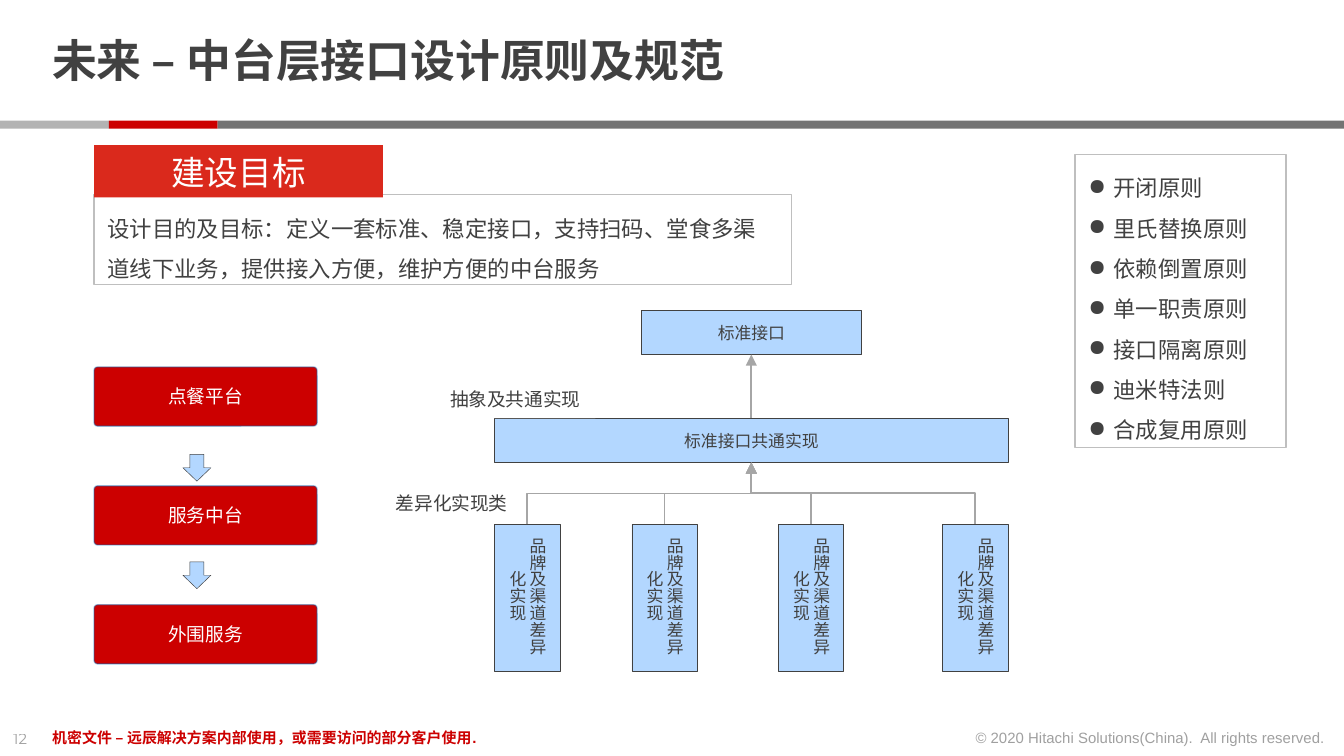
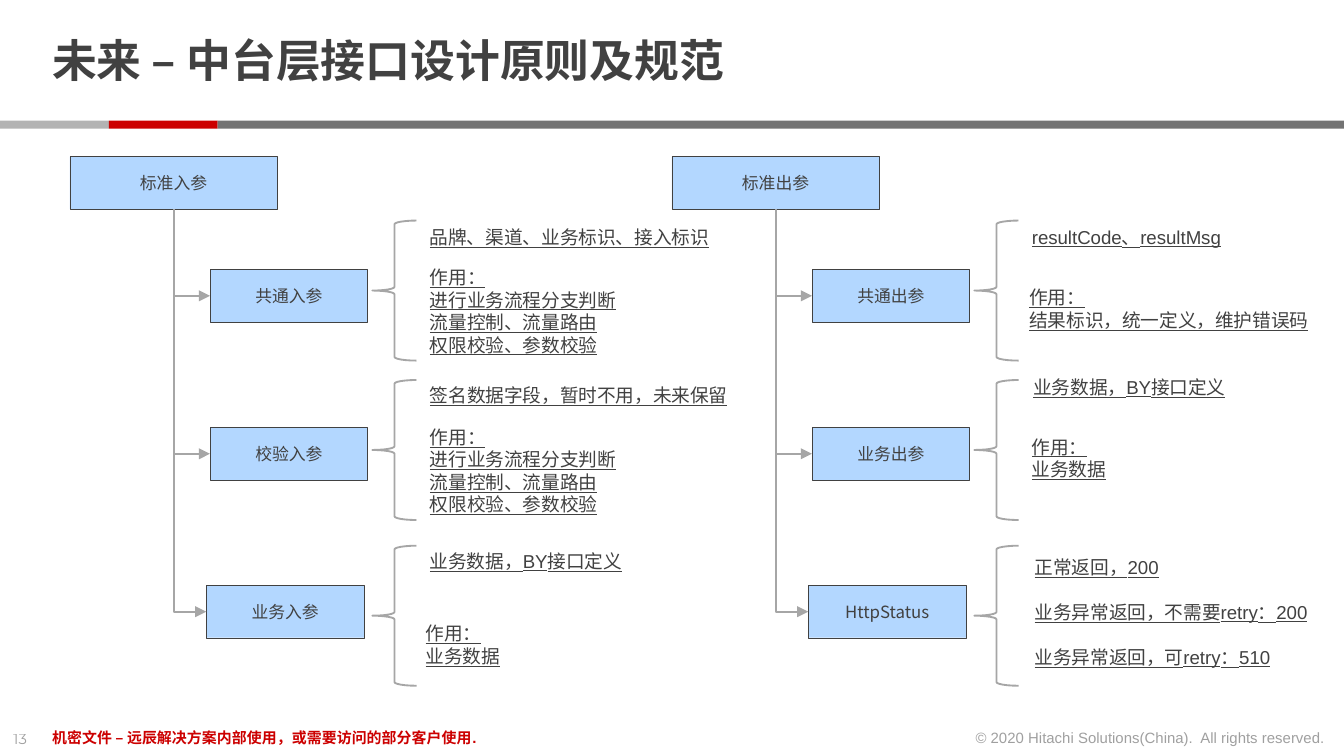
from lxml.etree import SubElement
from pptx import Presentation
from pptx.dml.color import RGBColor
from pptx.enum.shapes import MSO_CONNECTOR as Link, MSO_SHAPE as Shape
from pptx.enum.text import MSO_ANCHOR as Anchor, MSO_AUTO_SIZE as AutoSize, PP_ALIGN as Align
from pptx.oxml.ns import qn
from pptx.util import Pt

INK, WHITE, RED, TAB_RED = "414141", "FFFFFF", "CC0000", "DA291C"
BLUE, FLOW_EDGE, FRAME, GREY = "B3D7FF", "0070C0", "BFBFBF", "A6A6A6"
CJK = "Noto Sans CJK SC"
TITLE = "未来 – 中台层接口设计原则及规范"
CONFIDENTIAL = "机密文件 – 远辰解决方案内部使用，或需要访问的部分客户使用."
COPYRIGHT = "© 2020 Hitachi Solutions(China).  All rights reserved."
BANDS = [(0, 58.3, "B3B3B3"), (58.3, 58.3, RED), (116.6, 603.4, "737373")]
TOP, LEFT, BOTTOM = 0, 1, 2

EFFECTS = ["进行业务流程分支判断", "流量控制、流量路由", "权限校验、参数校验"]
INPUTS = {
    "root": "标准入参",
    "children": ["共通入参", "校验入参", "业务入参"],
    "notes": [
        (185.7, 33.4, 166.5, ["品牌、渠道、业务标识、接入标识"], 0),
        (185.7, 55, 115.5, ["作用：", *EFFECTS], 0),
        (185.7, 118.3, 176.5, ["签名数据字段，暂时不用，未来保留"], 0),
        (185.7, 140.6, 115.5, ["作用：", *EFFECTS], 0),
        (185.7, 207, 119, ["业务数据，BY接口定义"], 0),
        (183.5, 245.8, 55, ["作用：", "业务数据"], 0),
    ],
}
OUTPUTS = {
    "root": "标准出参",
    "children": ["共通出参", "业务出参", "HttpStatus"],
    "notes": [
        (185.7, 33.4, 116.5, ["resultCode、resultMsg"], 0),
        (184.3, 65.8, 166.5, ["作用：", "结果标识，统一定义，维护错误码"], 0),
        (186.5, 114, 119, ["业务数据，BY接口定义"], 0),
        (185.7, 145.7, 55, ["作用：", "业务数据"], 0),
        (187.2, 210.5, 162.5,
         ["正常返回，200", "业务异常返回，不需要retry：200", "业务异常返回，可retry：510"], 12),
    ],
}


def rgb(value):
    return RGBColor.from_string(value)


def fade(element, percent):
    for color in element.iter(qn("a:srgbClr")):
        SubElement(color, qn("a:alpha")).set("val", str(percent * 1000))


def block(slide, box, fill=None, edge=None, weight=0.25, kind=Shape.RECTANGLE):
    shape = slide.shapes.add_shape(kind, *map(Pt, box))
    shape.shadow.inherit = False
    if fill:
        shape.fill.solid()
        shape.fill.fore_color.rgb = rgb(fill)
    else:
        shape.fill.background()
    if edge:
        shape.line.color.rgb = rgb(edge)
        shape.line.width = Pt(weight)
    else:
        shape.line.fill.background()
    return shape


def write(shape, lines, size, color=INK, font="Arial", align=Align.LEFT, anchor=Anchor.TOP,
          bold=None, underline=None, spacing=None, gap=0, bullet=None, insets=None, grow=False):
    frame = shape.text_frame
    frame.word_wrap = True
    frame.auto_size = AutoSize.SHAPE_TO_FIT_TEXT if grow else AutoSize.NONE
    frame.vertical_anchor = anchor
    if insets:
        frame.margin_left = frame.margin_right = Pt(insets[0])
        frame.margin_top = frame.margin_bottom = Pt(insets[1])
    frame.text = "\n".join(lines)
    for index, paragraph in enumerate(frame.paragraphs):
        paragraph.alignment = align
        if spacing:
            paragraph.line_spacing = spacing
        if gap and index:
            paragraph.space_before = Pt(gap)
        if bullet:
            properties = paragraph._p.get_or_add_pPr()
            properties.set("marL", str(Pt(13.5)))
            properties.set("indent", str(-Pt(13.5)))
            SubElement(properties, qn("a:buChar")).set("char", bullet)
        for run in paragraph.runs:
            run.font.size = Pt(size)
            run.font.name = font
            run.font.bold = bold
            run.font.underline = underline
            run.font.color.rgb = rgb(color)
            SubElement(run._r.get_or_add_rPr(), qn("a:ea")).set("typeface", CJK)
    return shape


def text(slide, box, lines, size, **style):
    return write(slide.shapes.add_textbox(*map(Pt, box)), lines, size, **style)


def node(slide, box, label):
    return write(block(slide, box, BLUE, INK), [label], 9, font=CJK,
                 align=Align.CENTER, anchor=Anchor.MIDDLE)


def arrow(slide, source, source_site, target, target_site, preset):
    connector = slide.shapes.add_connector(Link.STRAIGHT, 0, 0, 0, 0)
    connector.begin_connect(source, source_site)
    connector.end_connect(target, target_site)
    properties = connector._element.spPr
    if preset != "line":
        x1, y1, x2, y2 = connector.begin_x, connector.begin_y, connector.end_x, connector.end_y
        middle_x, middle_y = (x1 + x2) // 2, (y1 + y2) // 2
        half_x, half_y = (x2 - x1) // 2, (y2 - y1) // 2
        connector.begin_x, connector.begin_y = middle_x + half_y, middle_y - half_x
        connector.end_x, connector.end_y = middle_x - half_y, middle_y + half_x
        properties.find(qn("a:xfrm")).set("rot", "16200000")
        properties.find(qn("a:prstGeom")).set("prst", preset)
    connector.line.color.rgb = rgb(GREY)
    connector.line.width = Pt(1)
    SubElement(properties.find(qn("a:ln")), qn("a:tailEnd")).set("type", "triangle")
    SubElement(properties, qn("a:effectLst"))


def base_slide(deck, page):
    slide = deck.slides.add_slide(deck.slide_layouts[6])
    for x, width, color in BANDS:
        block(slide, (x, 64.6, width, 4.3), color)
    number = text(slide, (0, 387.4, 24.5, 17), [str(page)], 8, font="Montserrat")
    rights = text(slide, (512.6, 386.6, 204.5, 17), [COPYRIGHT], 8, align=Align.RIGHT)
    for faint in (number, rights):
        fade(faint._element, 50)
    text(slide, (20.9, 386.6, 485, 17), [CONFIDENTIAL], 8, color=RED, bold=True)
    text(slide, (20.9, 7.9, 555, 52.6), [TITLE], 24, font=CJK, bold=True,
         anchor=Anchor.MIDDLE, spacing=0.85, insets=(7.2, 0))
    return slide


def principles(slide, box):
    names = ["开闭原则", "里氏替换原则", "依赖倒置原则", "单一职责原则",
             "接口隔离原则", "迪米特法则", "合成复用原则"]
    write(block(slide, box, WHITE, FRAME, 0.75), names, 12, spacing=1.5, bullet="●", grow=True)


def goal(slide, x, y):
    purpose = "设计目的及目标：定义一套标准、稳定接口，支持扫码、堂食多渠道线下业务，提供接入方便，维护方便的中台服务"
    write(block(slide, (x, y + 26.5, 373.7, 48.2), WHITE, FRAME, 0.75), [purpose], 12,
          spacing=1.5, grow=True)
    write(block(slide, (x, y, 154.8, 28), TAB_RED), ["建设目标"], 18, color=WHITE,
          align=Align.CENTER, anchor=Anchor.MIDDLE, spacing=1.06, insets=(0, 0))


def platform_flow(slide, x, y):
    for index, label in enumerate(["点餐平台", "服务中台", "外围服务"]):
        stage = block(slide, (x, y + 63.7 * index, 119.5, 31.7), RED, FLOW_EDGE, 0.75,
                      Shape.ROUNDED_RECTANGLE)
        stage.adjustments[0] = 0.06
        fade(stage._element.spPr.find(qn("a:ln")), 40)
        write(stage, [label], 10, color=WHITE, font=CJK, align=Align.CENTER, anchor=Anchor.MIDDLE)
    for drop in (46.8, 104.4):
        block(slide, (x + 47.6, y + drop, 15, 14.4), BLUE, INK, kind=Shape.DOWN_ARROW)


def interface_layers(slide, x, y):
    interface = node(slide, (x + 78.5, y, 118, 23.7), "标准接口")
    common = node(slide, (x, y + 57.8, 275, 23.7), "标准接口共通实现")
    arrow(slide, common, TOP, interface, BOTTOM, "line")
    for offset in (0, 73.5, 152, 240):
        variant = node(slide, (x + offset, y + 114.6, 35, 78.5), "品牌及渠道差异化实现")
        variant.text_frame._txBody.bodyPr.set("vert", "eaVert")
        arrow(slide, variant, TOP, common, BOTTOM, "bentConnector3")
    for dx, dy, width, label in [(-31, 38.2, 85, "抽象及共通实现"), (-60, 93.8, 75, "差异化实现类")]:
        write(block(slide, (x + dx, y + dy, width, 19.5), WHITE), [label], 10, grow=True)


def parameter_tree(slide, x, y, content):
    root = node(slide, (x, y, 111, 28), content["root"])
    rows = zip(content["children"], (75, 75, 73), (34.2, 119.6, 208.4))
    for index, (label, indent, brace_top) in enumerate(rows):
        child = node(slide, (x + indent, y + 60.5 + 84.6 * index, 84.5, 28), label)
        arrow(slide, root, BOTTOM, child, LEFT, "bentConnector2")
        block(slide, (x + 162, y + brace_top, 23.7, 75), edge=GREY, weight=1, kind=Shape.LEFT_BRACE)
    for dx, dy, width, lines, gap in content["notes"]:
        height = 7.5 + 12 * len(lines) + gap * (len(lines) - 1)
        write(block(slide, (x + dx, y + dy, width, height), WHITE), lines, 10,
              underline=True, gap=gap, grow=True)


def main():
    deck = Presentation()
    deck.slide_width, deck.slide_height = Pt(720), Pt(405)

    layers = base_slide(deck, 12)
    principles(layers, (576, 82.8, 113, 157))
    goal(layers, 50.4, 77.8)
    platform_flow(layers, 50.4, 196.6)
    interface_layers(layers, 265, 166.3)

    parameters = base_slide(deck, 13)
    parameter_tree(parameters, 37.5, 84, INPUTS)
    parameter_tree(parameters, 360, 84, OUTPUTS)

    deck.save("out.pptx")


if __name__ == "__main__":
    main()
